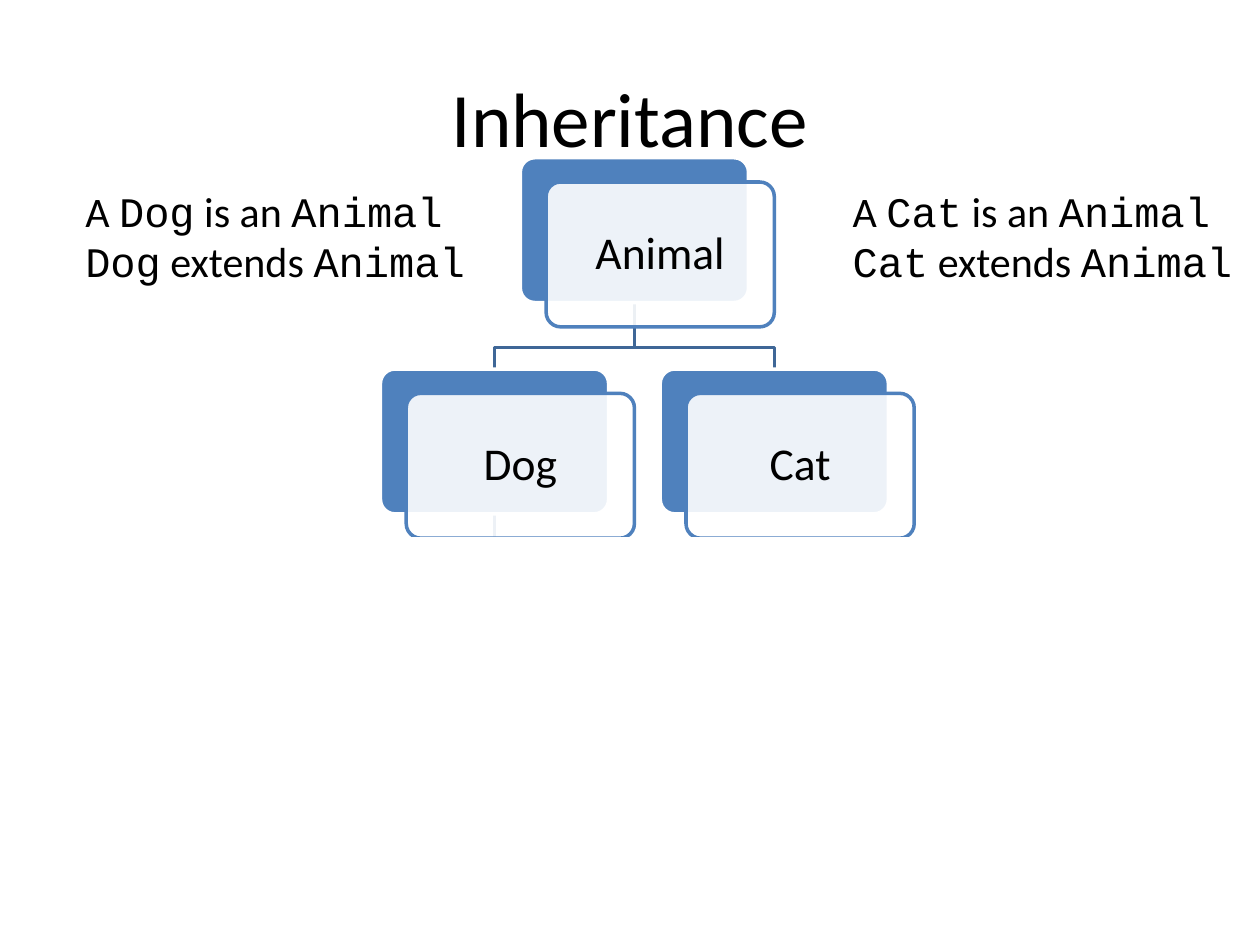
"""Build the Inheritance slide: a class tree with a note on each side."""
import pptx
import pptx.util
import pptx.dml.color
import pptx.enum.shapes
import pptx.enum.text
import pptx.oxml.ns
from lxml import etree

Cm, Pt = pptx.util.Cm, pptx.util.Pt
SHAPES = pptx.enum.shapes.MSO_SHAPE
BODY, CODE = "Calibri", "Courier New"
BLUE, WHITE, BLACK = "4F81BD", "FFFFFF", "000000"

TITLE = "Inheritance"
CARD_WIDTH, CARD_HEIGHT = 4.6, 2.92
SHIFT_X, SHIFT_Y = 0.52, 0.49
ROOT_LEFT, ROOT_TOP = 10.49, 3.18
SIDE_STEP, LEVEL_STEP = 2.82, 4.26
ELBOW_DROP = 0.91
CLASSES = [("Animal", 0, 0), ("Dog", -1, 1), ("Cat", 1, 1)]
NOTES = [("Dog", 1.47), ("Cat", 16.94)]
COVER = (4.01, 10.87, 14.81, 4.88)


def colour(value):
    return pptx.dml.color.RGBColor.from_string(value)


def style(shape, fill, line, opacity=None):
    shape.shadow.inherit = False
    if fill:
        shape.fill.solid()
        shape.fill.fore_color.rgb = colour(fill)
    else:
        shape.fill.background()
    if opacity:
        tint = shape.fill._xPr.find(".//" + pptx.oxml.ns.qn("a:srgbClr"))
        etree.SubElement(tint, pptx.oxml.ns.qn("a:alpha"), val=str(opacity * 1000))
    shape.line.color.rgb = colour(line)
    shape.line.width = Pt(2)


def format_run(run, font, size):
    run.font.name, run.font.size = font, Pt(size)
    run.font.color.rgb = colour(BLACK)


def add_branch(points, line):
    start, *rest = [(Cm(x), Cm(y)) for x, y in points]
    builder = slide.shapes.build_freeform(*start)
    builder.add_line_segments(rest, close=False)
    style(builder.convert_to_shape(), None, line)


def add_block(preset, box, fill, line, opacity=None):
    block = slide.shapes.add_shape(preset, *map(Cm, box))
    style(block, fill, line, opacity)
    return block


def add_class(name, side, level):
    left, top = ROOT_LEFT + side * SIDE_STEP, ROOT_TOP + level * LEVEL_STEP
    back = add_block(SHAPES.ROUNDED_RECTANGLE,
                     (left, top, CARD_WIDTH, CARD_HEIGHT), BLUE, WHITE)
    front = add_block(SHAPES.ROUNDED_RECTANGLE,
                      (left + SHIFT_X, top + SHIFT_Y, CARD_WIDTH, CARD_HEIGHT),
                      WHITE, BLUE, 90)
    for card in (back, front):
        card.adjustments[0] = 0.1
    front.text_frame.text = name
    label = front.text_frame.paragraphs[0]
    label.alignment = pptx.enum.text.PP_ALIGN.CENTER
    label.line_spacing = 0.9
    format_run(label.runs[0], BODY, 26)


def add_note(child, left):
    note = slide.shapes.add_textbox(Cm(left), Cm(3.61), Cm(9.73), Cm(2.31)).text_frame
    note.word_wrap = True
    sentences = [[("A ", BODY), (child, CODE), (" is an ", BODY), ("Animal", CODE)],
                 [(child, CODE), (" extends ", BODY), ("Animal", CODE)]]
    for index, sentence in enumerate(sentences):
        paragraph = note.add_paragraph() if index else note.paragraphs[0]
        for words, font in sentence:
            run = paragraph.add_run()
            run.text = words
            format_run(run, font, 24)


deck = pptx.Presentation()
deck.slide_width, deck.slide_height = Cm(25.4), Cm(19.05)
slide = deck.slides.add_slide(deck.slide_layouts[5])

title = slide.shapes.title
title.left, title.top, title.width, title.height = map(Cm, (1.27, 0.76, 22.86, 3.18))
title.text_frame.text = TITLE
format_run(title.text_frame.paragraphs[0].runs[0], BODY, 44)

trunk_x, trunk_y = ROOT_LEFT + CARD_WIDTH / 2, ROOT_TOP + CARD_HEIGHT
for _, side, level in CLASSES[1:]:
    child_x, child_y = trunk_x + side * SIDE_STEP, ROOT_TOP + level * LEVEL_STEP
    elbow_y = trunk_y + ELBOW_DROP
    add_branch([(trunk_x, trunk_y), (trunk_x, elbow_y),
                (child_x, elbow_y), (child_x, child_y)], "3F6797")
dog_x, dog_bottom = trunk_x - SIDE_STEP, trunk_y + LEVEL_STEP
add_branch([(dog_x, dog_bottom), (dog_x, COVER[1])], "4875AC")

for name, side, level in CLASSES:
    add_class(name, side, level)
add_block(SHAPES.RECTANGLE, COVER, WHITE, WHITE)
for child, left in NOTES:
    add_note(child, left)

deck.save("out.pptx")
